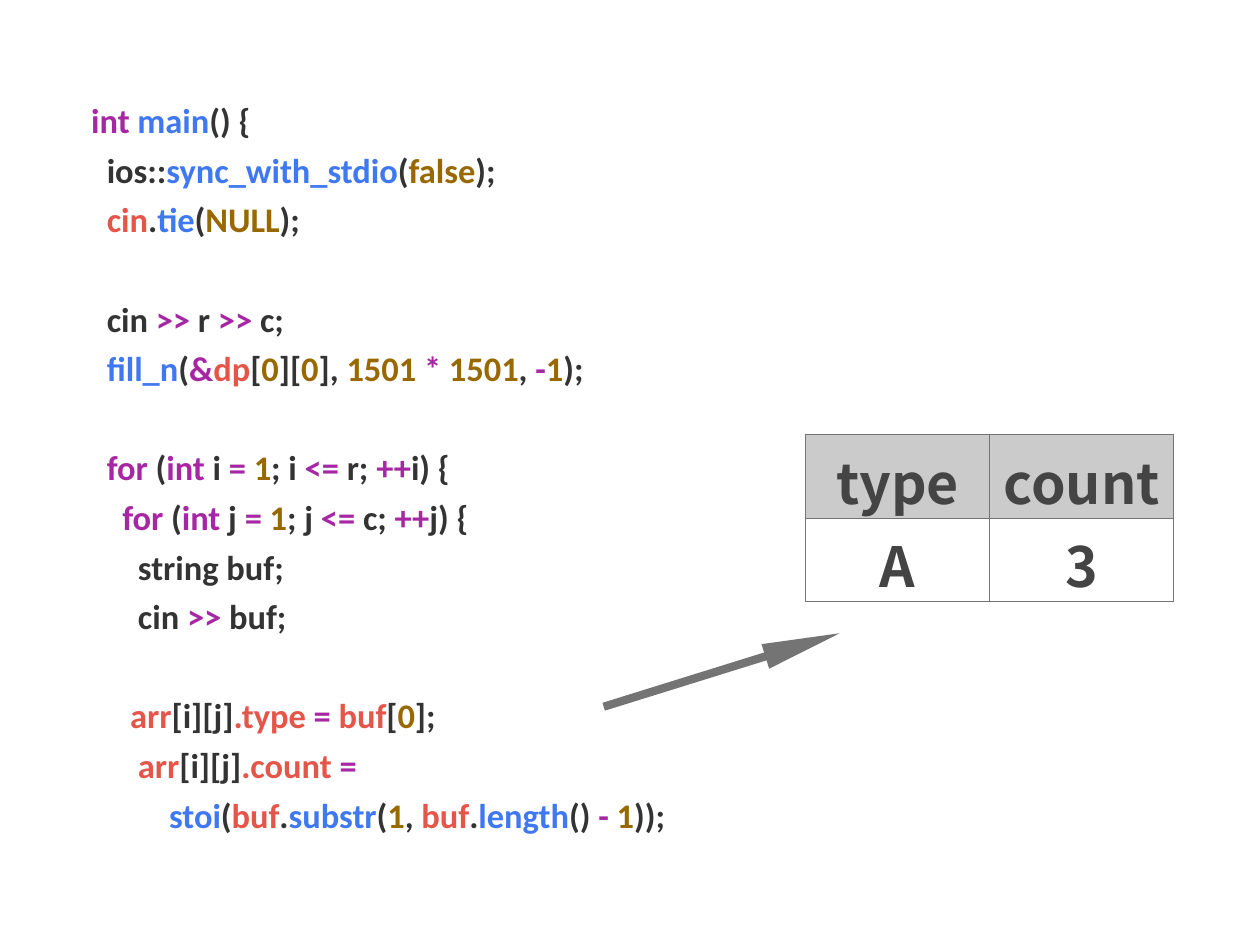
"""Build a slide of C++ input code beside the record that it fills."""
from dataclasses import dataclass

import lxml.etree
import pptx
import pptx.dml.color
import pptx.enum.shapes
import pptx.enum.text
import pptx.oxml
import pptx.oxml.ns
import pptx.util

RGBColor = pptx.dml.color.RGBColor
PURPLE = RGBColor(0xA6, 0x26, 0xA4)
BLUE = RGBColor(0x40, 0x78, 0xF2)
RED = RGBColor(0xE4, 0x56, 0x49)
BROWN = RGBColor(0x98, 0x68, 0x01)
INK = RGBColor(0x33, 0x33, 0x33)
DARK = RGBColor(0x44, 0x44, 0x44)
GREY = RGBColor(0x74, 0x74, 0x74)
HEAD = RGBColor(0xCB, 0xCB, 0xCB)
WHITE = RGBColor(0xFF, 0xFF, 0xFF)

SYNTAX = {"k": PURPLE, "f": BLUE, "v": RED, "n": BROWN, "p": INK}
WIDTH, HEIGHT = pptx.util.Inches(14.22), pptx.util.Inches(10.67)
INSET = pptx.util.Inches(0.06)
CODE_SIZE, CELL_SIZE = 28, 45
SPACE_WIDTH = pptx.util.Pt(6.33)
LINE_PITCH = pptx.util.Pt(40.3)


@dataclass(frozen=True)
class Box:
    """Place on the slide in percent of its width and height."""
    x: float
    y: float
    w: float
    h: float

    def emu(self) -> tuple[int, int, int, int]:
        """Return left, top, width and height as lengths."""
        return (int(WIDTH * self.x / 100), int(HEIGHT * self.y / 100),
                int(WIDTH * self.w / 100), int(HEIGHT * self.h / 100))


@dataclass(frozen=True)
class Line:
    """Code line whose parts, split at bars, take one syntax key each."""
    indent: int
    text: str
    keys: str
    gap: bool = False


CODE_BOX = Box(6.82, 9.07, 86.22, 81.63)
TABLE_BOX = Box(63.92, 46.02, 29.25, 17.62)
ARROW_BOX = Box(47.47, 69.54, 19.62, 2.72)

CODE = [
    Line(0, "int |main|() {", "kfp"),
    Line(2, "ios::|sync_with_stdio|(|false|);", "pfpnp"),
    Line(2, "cin|.|tie|(|NULL|);", "vpfpnp"),
    Line(2, "cin |>>| r |>>| c;", "pkpkp", gap=True),
    Line(2, "fill_n|(|&|dp|[|0|][|0|], |1501 |* |1501|, |-|1|);",
         "fpkvpnpnpnknpknp"),
    Line(2, "for| (|int |i |= |1|; i |<=| r; |++|i) {", "kpkpknpkpkp",
         gap=True),
    Line(4, "for| (|int| j |= |1|; j |<=| c; |++|j) {", "kpkpknpkpkp"),
    Line(6, "string buf;", "p"),
    Line(6, "cin |>> |buf;", "pkp"),
    Line(5, "arr|[i][j]|.type |= |buf|[|0|];", "vpvkvpnp", gap=True),
    Line(6, "arr|[i][j]|.count |=", "vpvk"),
    Line(10, "stoi|(|buf|.|substr|(|1|, |buf|.|length|() |- |1|));",
         "fpvpfpnpvpfpknp"),
]
RECORD = [("type", "count"), ("A", "3")]


def add_run(p, text: str, *, font: str, size: int, color: RGBColor) -> None:
    """Add bold text to a paragraph."""
    r = p.add_run()
    r.text = text
    r.font.name = font
    r.font.size = pptx.util.Pt(size)
    r.font.bold = True
    r.font.color.rgb = color


def set_margins(frame) -> None:
    """Give a text frame or a cell the same narrow inset all round."""
    frame.margin_left = frame.margin_right = INSET
    frame.margin_top = frame.margin_bottom = INSET


def add_code(s, box: Box, lines: list[Line]) -> None:
    """Draw the code with its syntax colours."""
    tf = s.shapes.add_textbox(*box.emu()).text_frame
    tf.word_wrap = True
    set_margins(tf)
    for i, line in enumerate(lines):
        p = tf.add_paragraph() if i else tf.paragraphs[0]
        p.line_spacing = 1.2
        p.space_before = LINE_PITCH if line.gap else 0
        p._p.get_or_add_pPr().set("marL", str(line.indent * SPACE_WIDTH))
        for text, key in zip(line.text.split("|"), line.keys):
            add_run(p, text, font="Calibri", size=CODE_SIZE, color=SYNTAX[key])


def set_borders(cell, color: RGBColor) -> None:
    """Outline a cell on all four sides."""
    tc_pr = cell._tc.get_or_add_tcPr()
    ns = pptx.oxml.ns.nsdecls("a")
    for i, side in enumerate(("lnL", "lnR", "lnT", "lnB")):
        tc_pr.insert(i, pptx.oxml.parse_xml(
            f'<a:{side} {ns} w="12700"><a:solidFill>'
            f'<a:srgbClr val="{color}"/></a:solidFill></a:{side}>'))


def add_record(s, box: Box, rows: list[tuple[str, str]]) -> None:
    """Draw the record as a table with a grey heading row."""
    table = s.shapes.add_table(len(rows), len(rows[0]), *box.emu()).table
    for i, row in enumerate(rows):
        for j, text in enumerate(row):
            cell = table.cell(i, j)
            set_margins(cell)
            cell.vertical_anchor = pptx.enum.text.MSO_ANCHOR.MIDDLE
            cell.fill.solid()
            cell.fill.fore_color.rgb = WHITE if i else HEAD
            set_borders(cell, GREY)
            p = cell.text_frame.paragraphs[0]
            p.alignment = pptx.enum.text.PP_ALIGN.CENTER
            add_run(p, text, font="Noto Sans CJK KR", size=CELL_SIZE,
                    color=DARK)


def add_arrow(s, box: Box, rotation: float) -> None:
    """Draw the slanted arrow from the code to the record."""
    sp = s.shapes.add_shape(pptx.enum.shapes.MSO_SHAPE.RIGHT_ARROW, *box.emu())
    sp.adjustments[0], sp.adjustments[1] = 0.32, 3.03
    sp.rotation = rotation
    sp.shadow.inherit = False
    sp.fill.solid()
    sp.fill.fore_color.rgb = GREY
    sp.line.fill.background()


def main() -> None:
    """Build and save the slide."""
    prs = pptx.Presentation()
    prs.slide_width, prs.slide_height = WIDTH, HEIGHT
    s = prs.slides.add_slide(prs.slide_layouts.get_by_name("Blank"))
    add_code(s, CODE_BOX, CODE)
    add_record(s, TABLE_BOX, RECORD)
    add_arrow(s, ARROW_BOX, 342.7)
    prs.save("out.pptx")


if __name__ == "__main__":
    main()
